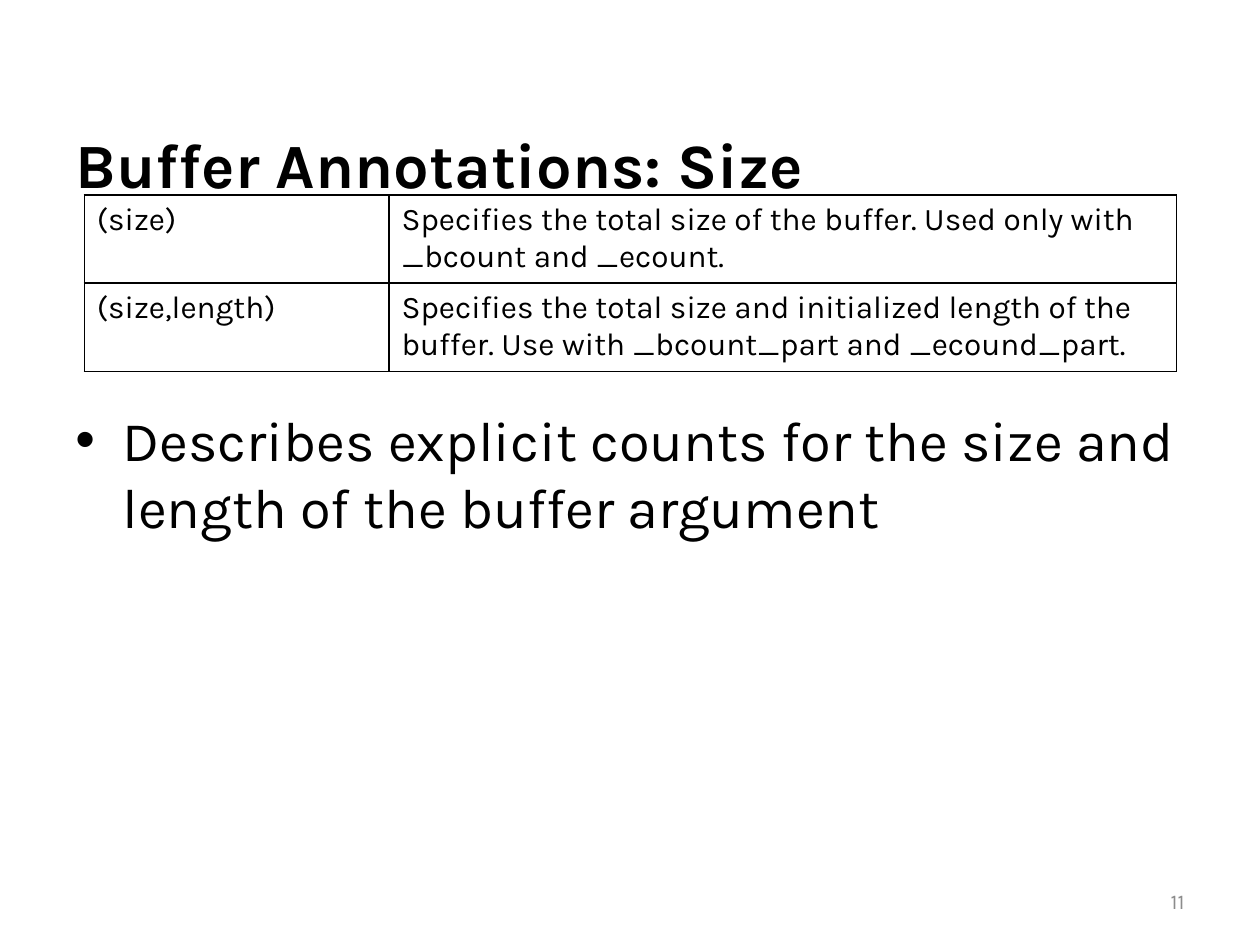
from lxml import etree
from pptx import Presentation
from pptx.dml.color import RGBColor
from pptx.enum.text import MSO_ANCHOR, PP_ALIGN
from pptx.oxml.ns import qn
from pptx.util import Cm, Pt

MIDDLE, TOP = MSO_ANCHOR.MIDDLE, MSO_ANCHOR.TOP
LEFT, RIGHT = PP_ALIGN.LEFT, PP_ALIGN.RIGHT
FONT, BLACK, GREY = "Karla", "000000", "8C8C8C"

# Content
TITLE = "Buffer Annotations: Size"
ANNOTATIONS = [
    ("(size)", "Specifies the total size of the buffer. Used only with _bcount and _ecount."),
    ("(size,length)", "Specifies the total size and initialized length of the buffer. "
                      "Use with _bcount_part and _ecound_part."),
]
SUMMARY = "Describes explicit counts for the size and length of the buffer argument"
PAGE_NUMBER = "11"

# Layout in centimetres
MARGIN, CONTENT_WIDTH = 1.27, 22.86
TABLE_LEFT, TABLE_TOP = 1.7, 3.93
COLUMN_WIDTHS, ROW_HEIGHT = (6.14, 15.88), 1.75
BULLET_INDENT = 0.95


def color(value):
    return RGBColor.from_string(value)


def write(frame, text, size, fill=BLACK, bold=False, align=LEFT):
    frame.text = text
    frame.word_wrap = True
    paragraph = frame.paragraphs[0]
    paragraph.alignment = align
    font = paragraph.runs[0].font
    font.name, font.size, font.bold = FONT, Pt(size), bold
    font.color.rgb = color(fill)
    return paragraph


def add_text(slide, box, text, size, anchor=TOP, **style):
    frame = slide.shapes.add_textbox(*map(Cm, box)).text_frame
    frame.vertical_anchor = anchor
    return write(frame, text, size, **style)


def add_bullet(paragraph):
    properties = paragraph._p.get_or_add_pPr()
    properties.set("marL", str(Cm(BULLET_INDENT)))
    properties.set("indent", str(-Cm(BULLET_INDENT)))
    spacing = etree.SubElement(properties, qn("a:spcBef"))
    etree.SubElement(spacing, qn("a:spcPct"), val="20000")
    etree.SubElement(properties, qn("a:buFont"), typeface="Arial")
    etree.SubElement(properties, qn("a:buChar"), char="•")


def add_borders(cell):
    properties = cell._tc.get_or_add_tcPr()
    for position, side in enumerate(("a:lnL", "a:lnR", "a:lnT", "a:lnB")):
        line = etree.Element(qn(side), w=str(Pt(1)))
        fill = etree.SubElement(line, qn("a:solidFill"))
        etree.SubElement(fill, qn("a:srgbClr"), val=BLACK)
        properties.insert(position, line)


def add_annotation_table(slide):
    table = slide.shapes.add_table(
        len(ANNOTATIONS), len(COLUMN_WIDTHS), Cm(TABLE_LEFT), Cm(TABLE_TOP),
        Cm(sum(COLUMN_WIDTHS)), Cm(ROW_HEIGHT * len(ANNOTATIONS))).table
    table.first_row = table.horz_banding = False
    for column, width in zip(table.columns, COLUMN_WIDTHS):
        column.width = Cm(width)
    for row, texts in enumerate(ANNOTATIONS):
        table.rows[row].height = Cm(ROW_HEIGHT)
        for column, text in enumerate(texts):
            cell = table.cell(row, column)
            write(cell.text_frame, text, 18)
            cell.fill.background()
            add_borders(cell)


def main():
    deck = Presentation()
    deck.slide_width, deck.slide_height = Cm(25.4), Cm(19.05)
    slide = deck.slides.add_slide(deck.slide_layouts[6])

    # Title, summary and page number
    add_text(slide, (MARGIN, 2.34, CONTENT_WIDTH, 1.9), TITLE, 36, MIDDLE, bold=True)
    summary = add_text(slide, (MARGIN, 8.05, CONTENT_WIDTH, 3.6), SUMMARY, 32)
    add_bullet(summary)
    add_text(slide, (18.2, 17.65, 5.93, 1.02), PAGE_NUMBER, 12, MIDDLE,
             fill=GREY, align=RIGHT)

    # Annotation forms and their meaning
    add_annotation_table(slide)
    deck.save("out.pptx")


if __name__ == "__main__":
    main()
